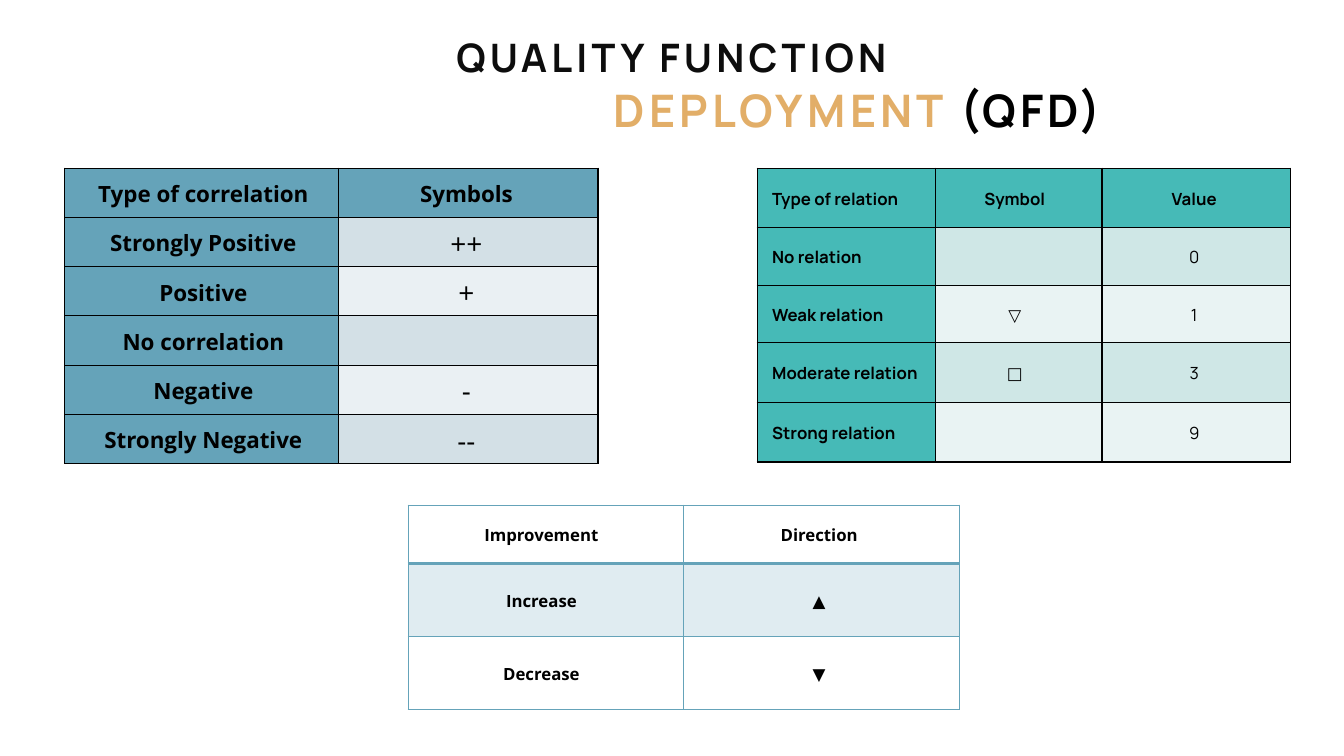
from pptx import Presentation
from pptx.dml.color import RGBColor
from pptx.enum import text
from pptx.oxml.ns import qn
from pptx.util import Cm, Pt
from lxml import etree

# Content
COLORS = {"black": "000000", "ink": "0D0D0D", "gold": "E2AE68", "blue": "65A3B9",
          "blue_mid": "D3E0E6", "blue_pale": "EAF0F3", "teal": "46BAB7",
          "teal_mid": "CFE7E6", "teal_pale": "E9F3F3"}

TITLE = [("QUALITY FUNCTION", "ink")]
SUBTITLE = [("DEPLOYMENT ", "gold"), ("(QFD)", "black")]

# Lengths in cm; "insets" holds the left and right margin of each column;
# "bands" holds the body fills, taken in turn
TABLES = [
    {"cells": [("Type of correlation", "Symbols"),
               ("Strongly Positive", "++"),
               ("Positive", "+"),
               ("No correlation", ""),
               ("Negative", "-"),
               ("Strongly Negative", "--")],
     "at": (1.63, 4.24), "columns": (6.91, 6.53), "rows": (1.24,) * 6,
     "insets": ((0.18, 0.1), (0.18, 0.28)), "font": "Open Sans", "sizes": (16, 20),
     "border": "black", "header_line": 1, "label_fill": "teal" and "blue",
     "bands": ("blue_mid", "blue_pale"), "left_labels": False},
    {"cells": [("Type of relation", "Symbol", "Value"),
               ("No relation", "", "0"),
               ("Weak relation", "▽", "1"),
               ("Moderate relation", "□", "3"),
               ("Strong relation", "", "9")],
     "at": (19.08, 4.24), "columns": (4.5, 4.19, 4.75), "rows": (1.5, 1.45, 1.45, 1.5, 1.5),
     "insets": ((0.38, 0.2), (0.2, 0.4), (0.2, 0.3)), "font": "Manrope", "sizes": (12, 12),
     "border": "black", "header_line": 1, "label_fill": "teal",
     "bands": ("teal_mid", "teal_pale"), "left_labels": True},
    {"cells": [("Improvement", "Direction"),
               ("Increase", "▲"),
               ("Decrease", "▼")],
     "at": (10.29, 12.73), "columns": (6.93, 6.96), "rows": (1.47, 1.83, 1.85),
     "insets": ((0.2, 0.42), (0.2, 0.31)), "font": "Open Sans", "sizes": (12, 12),
     "border": "blue", "header_line": 2, "label_fill": None,
     "bands": ("blue", None), "left_labels": False},
]


def style_font(font, name, size, color, bold):
    font.name, font.size, font.bold = name, Pt(size), bold
    font.color.rgb = RGBColor.from_string(COLORS[color])


def write_heading(box, spans, size, left, top, width, height):
    box.left, box.top, box.width, box.height = Cm(left), Cm(top), Cm(width), Cm(height)
    frame = box.text_frame
    frame.word_wrap = True
    frame.auto_size = text.MSO_AUTO_SIZE.NONE
    frame.vertical_anchor = text.MSO_ANCHOR.TOP
    para = frame.paragraphs[0]
    para.alignment = text.PP_ALIGN.CENTER
    para.line_spacing, para.space_before = 1.0, Pt(0)
    for words, color in spans:
        span = para.add_run()
        span.text = words
        style_font(span.font, "Manrope", size, color, True)
        span._r.get_or_add_rPr().set("spc", "300")


def set_borders(cell, color, widths):
    properties = cell._tc.get_or_add_tcPr()
    for side, width in zip("LRTB", widths):
        line = etree.SubElement(properties, qn(f"a:ln{side}"), w=str(Pt(width)))
        fill = etree.SubElement(line, qn("a:solidFill"))
        etree.SubElement(fill, qn("a:srgbClr"), val=COLORS[color])


def set_fill(cell, color, alpha):
    if color is None:
        cell.fill.background()
        return
    cell.fill.solid()
    cell.fill.fore_color.rgb = RGBColor.from_string(COLORS[color])
    if alpha < 100:
        shade = cell._tc.tcPr.find(f"{qn('a:solidFill')}/{qn('a:srgbClr')}")
        etree.SubElement(shade, qn("a:alpha"), val=str(alpha * 1000))


def format_cell(cell, words, row, column, item):
    is_label = row == 0 or column == 0
    plain = item["label_fill"] is None

    # Borders and fill
    top = item["header_line"] if row == 1 else 1
    bottom = item["header_line"] if row == 0 else 1
    set_borders(cell, item["border"], (1, 1, top, bottom))
    band = item["bands"][(row - 1) % 2]
    if plain:
        set_fill(cell, band if row else None, 20)
    else:
        set_fill(cell, item["label_fill"] if is_label else band, 100)

    # Text
    cell.vertical_anchor = text.MSO_ANCHOR.MIDDLE
    cell.margin_left, cell.margin_right = (Cm(inset) for inset in item["insets"][column])
    cell.margin_top = cell.margin_bottom = 0
    cell.text_frame.text = words
    para = cell.text_frame.paragraphs[0]
    to_left = item["left_labels"] and column == 0
    para.alignment = text.PP_ALIGN.LEFT if to_left else text.PP_ALIGN.CENTER
    para.line_spacing = 1.07
    for span in para.runs:
        size = item["sizes"][0 if is_label else 1]
        style_font(span.font, item["font"], size, "black", is_label)


def add_grid(page, item):
    columns, rows = item["columns"], item["rows"]
    left, top = item["at"]
    table = page.shapes.add_table(len(rows), len(columns), Cm(left), Cm(top),
                                  Cm(sum(columns)), Cm(sum(rows))).table
    table.first_row = table.horz_banding = False
    for column, width in zip(table.columns, columns):
        column.width = Cm(width)
    for row, height in zip(table.rows, rows):
        row.height = Cm(height)
    for row, line in enumerate(item["cells"]):
        for column, words in enumerate(line):
            format_cell(table.cell(row, column), words, row, column, item)


def main():
    deck = Presentation()
    deck.slide_width, deck.slide_height = Cm(33.87), Cm(19.05)
    page = deck.slides.add_slide(deck.slide_layouts[5])

    # Two-line heading
    write_heading(page.shapes.title, TITLE, 28, 8.35, 0.71, 17.15, 1.45)
    second_line = page.shapes.add_textbox(0, 0, 0, 0)
    write_heading(second_line, SUBTITLE, 32, 14.22, 1.96, 14.78, 1.63)

    # Legend tables
    for item in TABLES:
        add_grid(page, item)

    deck.save("out.pptx")


if __name__ == "__main__":
    main()
